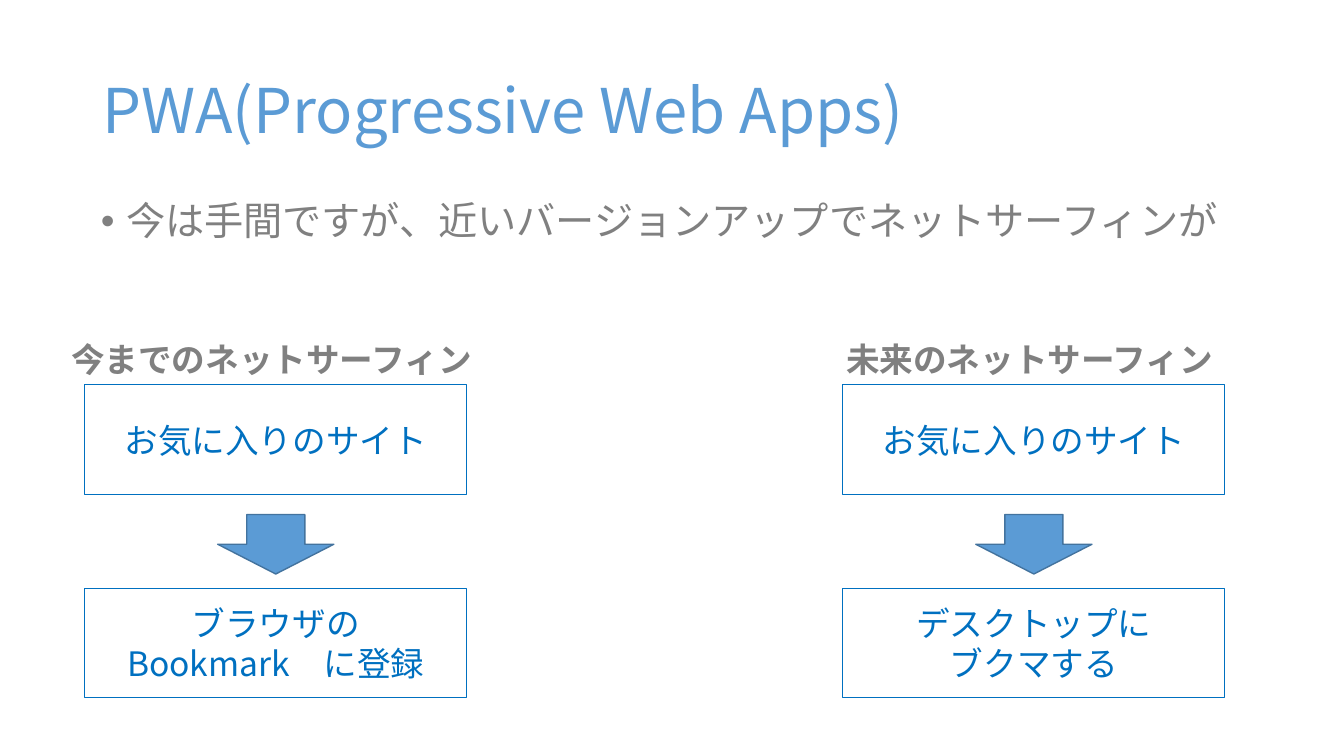
from lxml import etree
from pptx import Presentation
from pptx.dml.color import RGBColor
from pptx.enum.shapes import MSO_SHAPE
from pptx.enum.text import MSO_ANCHOR, MSO_AUTO_SIZE, PP_ALIGN
from pptx.oxml.ns import qn
from pptx.util import Pt

RECTANGLE, DOWN_ARROW = MSO_SHAPE.RECTANGLE, MSO_SHAPE.DOWN_ARROW
TOP, MIDDLE = MSO_ANCHOR.TOP, MSO_ANCHOR.MIDDLE
LEFT, CENTER = PP_ALIGN.LEFT, PP_ALIGN.CENTER
GROW, FIXED = MSO_AUTO_SIZE.SHAPE_TO_FIT_TEXT, MSO_AUTO_SIZE.NONE

WHITE = RGBColor(0xFF, 0xFF, 0xFF)
SKY = RGBColor(0x5B, 0x9B, 0xD5)
STEEL = RGBColor(0x43, 0x73, 0x9E)
BLUE = RGBColor(0x00, 0x70, 0xC0)
GRAY = RGBColor(0x80, 0x80, 0x80)
JAPANESE_FONT = "Noto Sans CJK JP"

TITLE = {"size": Pt(44), "name": JAPANESE_FONT, "bold": False}
MESSAGE = {"size": Pt(28), "name": JAPANESE_FONT, "bold": False}
HEADING = {"size": Pt(24), "name": "Roboto", "bold": True}
STEP = {"size": Pt(24), "name": JAPANESE_FONT, "bold": False}
BODY_SPACING = {"alignment": LEFT, "line_spacing": 0.9, "space_before": Pt(10)}
TITLE_SPACING = {"alignment": LEFT, "line_spacing": 0.9}
STEP_SPACING = {"alignment": CENTER}

FLOWS = [
    (60.5, "今までのネットサーフィン", ["お気に入りのサイト"], ["ブラウザの", "Bookmark　に登録"]),
    (602, "未来のネットサーフィン", ["お気に入りのサイト"], ["デスクトップに", "ブクマする"]),
]


def write_lines(frame, lines, font_format, color, spacing, frame_format):
    """Fill a text frame with one paragraph per line."""
    for key, value in frame_format.items():
        setattr(frame, key, value)
    for index, line in enumerate(lines):
        paragraph = frame.add_paragraph() if index else frame.paragraphs[0]
        for key, value in spacing.items():
            setattr(paragraph, key, value)
        run = paragraph.add_run()
        run.text = line
        for key, value in font_format.items():
            setattr(run.font, key, value)
        run.font.color.rgb = color
        east_asian = etree.SubElement(run.font._element, qn("a:ea"))
        east_asian.set("typeface", JAPANESE_FONT)


def add_bullet(paragraph, indent):
    """Give a paragraph a hanging round bullet."""
    properties = paragraph._p.get_or_add_pPr()
    properties.set("marL", str(indent))
    properties.set("indent", str(-indent))
    for tag, key, value in (("a:buFont", "typeface", "Arial"), ("a:buChar", "char", "•")):
        etree.SubElement(properties, qn(tag)).set(key, value)


def add_outlined(slide, kind, box, fill, line, weight):
    """Draw a flat filled shape with an outline."""
    shape = slide.shapes.add_shape(kind, *map(Pt, box))
    shape.shadow.inherit = False
    shape.fill.solid()
    shape.fill.fore_color.rgb = fill
    shape.line.color.rgb = line
    shape.line.width = Pt(weight)
    return shape


def add_title(slide, left, top, width, height):
    """Place the slide title."""
    title = slide.shapes.add_textbox(*map(Pt, (left, top, width, height)))
    write_lines(title.text_frame, ["PWA(Progressive Web Apps)"], TITLE, SKY, TITLE_SPACING,
                {"word_wrap": True, "vertical_anchor": MIDDLE, "auto_size": FIXED})


def add_message(slide, left, top, width, height):
    """Place the bulleted message under the title."""
    message = slide.shapes.add_textbox(*map(Pt, (left, top, width, height)))
    write_lines(message.text_frame, ["今は手間ですが、近いバージョンアップでネットサーフィンが"],
                MESSAGE, GRAY, BODY_SPACING,
                {"word_wrap": True, "vertical_anchor": TOP, "auto_size": FIXED})
    add_bullet(message.text_frame.paragraphs[0], Pt(18))


def add_flow(slide, left, top, width, heading, first_step, second_step):
    """Place a heading above two steps joined by a down arrow."""
    center = left + width / 2
    heading_width = 24 * len(heading) + 18.5
    label = slide.shapes.add_textbox(
        *map(Pt, (center - heading_width / 2, top, heading_width, 33)))
    write_lines(label.text_frame, [heading], HEADING, GRAY, BODY_SPACING,
                {"word_wrap": False, "vertical_anchor": TOP, "auto_size": GROW})
    for offset, lines in ((33, first_step), (178.5, second_step)):
        step = add_outlined(slide, RECTANGLE, (left, top + offset, width, 78), WHITE, BLUE, 0.75)
        write_lines(step.text_frame, lines, STEP, BLUE, STEP_SPACING,
                    {"word_wrap": False, "vertical_anchor": MIDDLE})
    add_outlined(slide, DOWN_ARROW, (center - 41.5, top + 125.5, 83, 42.5), SKY, STEEL, 1)


def main():
    """Build the slide and save it."""
    presentation = Presentation()
    presentation.slide_width, presentation.slide_height = Pt(960), Pt(540)
    slide = presentation.slides.add_slide(presentation.slide_layouts[6])
    add_title(slide, 66, 29, 828, 104.5)
    add_message(slide, 65, 140.5, 828, 342.5)
    for left, heading, first_step, second_step in FLOWS:
        add_flow(slide, left, 242, 273, heading, first_step, second_step)
    presentation.save("out.pptx")


if __name__ == "__main__":
    main()
